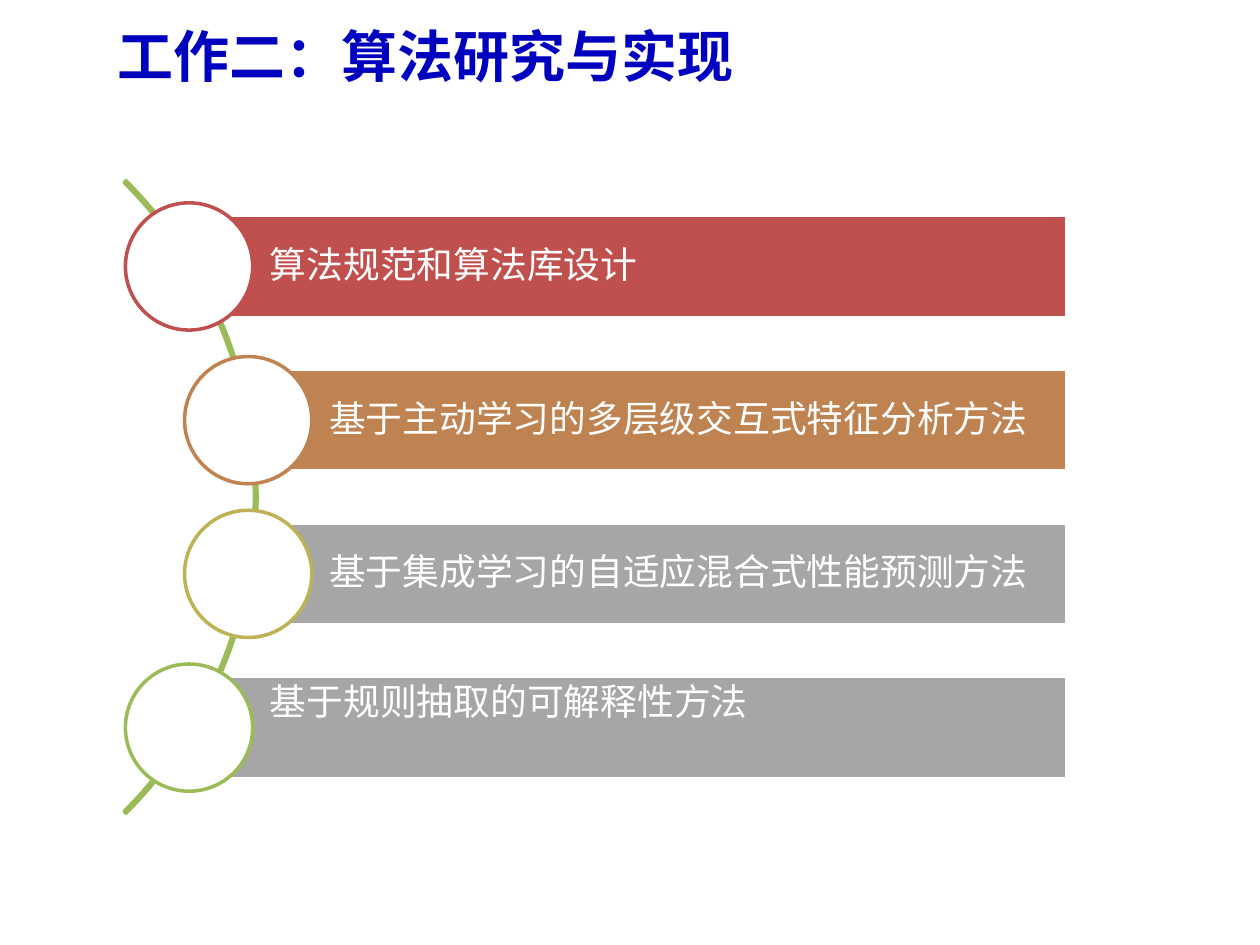
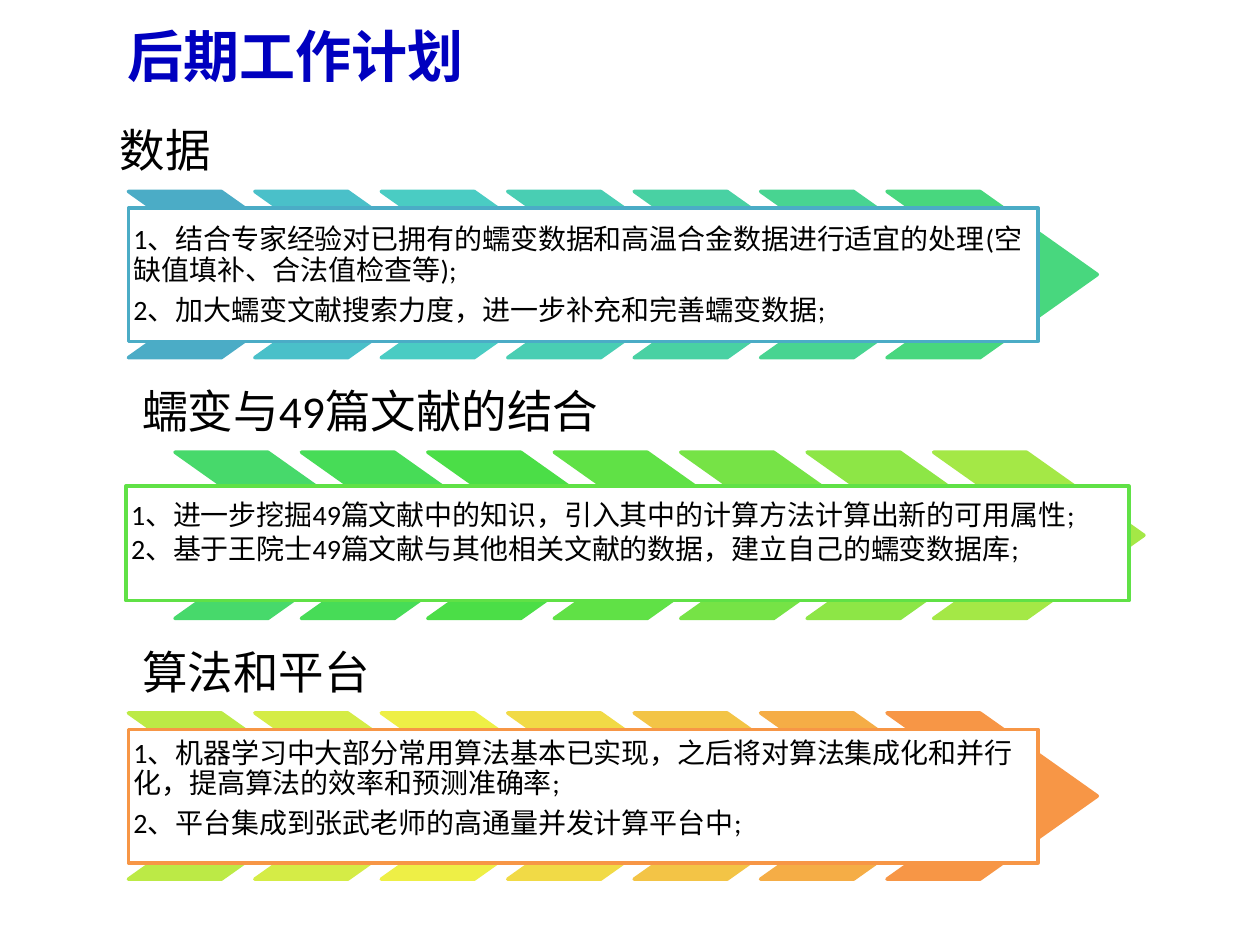
from lxml import etree
from pptx import Presentation
from pptx.dml.color import RGBColor
from pptx.enum.shapes import MSO_SHAPE
from pptx.enum.text import MSO_ANCHOR, MSO_AUTO_SIZE, PP_ALIGN
from pptx.oxml.ns import qn
from pptx.util import Pt

ARC, BAR, CIRCLE, CHEVRON = (MSO_SHAPE.BLOCK_ARC, MSO_SHAPE.RECTANGLE,
                             MSO_SHAPE.OVAL, MSO_SHAPE.CHEVRON)
TOP, MIDDLE, BOTTOM = MSO_ANCHOR.TOP, MSO_ANCHOR.MIDDLE, MSO_ANCHOR.BOTTOM
LEFT, NO_FIT = PP_ALIGN.LEFT, MSO_AUTO_SIZE.NONE

COLORS = {
    "title": "0000BF", "white": "FFFFFF", "black": "000000",
    "red": "C0504D", "brown": "BE8351", "gray": "A6A6A6",
    "olive": "BDB255", "green": "9BBB59",
    "blue box": "4BACC6", "green box": "60E146", "orange box": "F79646",
    "blue row": "4BACC6 4AC0C9 4ACCC3 49CEB3 49D1A3 48D491 48D77E",
    "green row": "47D96B 47DC57 4BDE47 60E146 76E346 8DE646 A4E846",
    "orange row": "BCEA46 D5EC46 EEEF46 F1DA46 F3C446 F5AD46 F79646",
}
TITLE_FONT, BODY_FONT = "Noto Sans CJK SC", "Calibri"
TITLE_FORMAT = {"size": Pt(32), "bold": True, "name": TITLE_FONT}
BAR_FORMAT = {"size": Pt(21), "bold": False, "name": BODY_FONT}
HEADING_FORMAT = {"size": Pt(26), "bold": False, "name": BODY_FONT}
NOTE_FORMAT = {"size": Pt(16), "bold": False, "name": BODY_FONT}
LINE_WIDTH = 2


# Shared helpers
def place(shape, box):
    for name, value in zip(("left", "top", "width", "height"), box):
        setattr(shape, name, Pt(value))


def write(shape, lines, text_format, color, anchor, insets=None,
          spacing=1.0, after=0):
    frame = shape.text_frame
    frame.word_wrap = True
    frame.auto_size = NO_FIT
    frame.vertical_anchor = anchor
    if insets:
        for side, value in zip(("left", "top", "right", "bottom"), insets):
            setattr(frame, f"margin_{side}", Pt(value))
    for index, line in enumerate(lines):
        para = frame.add_paragraph() if index else frame.paragraphs[0]
        para.alignment = LEFT
        para.line_spacing = spacing
        para.space_before = Pt(0)
        para.space_after = Pt(after if index < len(lines) - 1 else 0)
        span = para.add_run()
        span.text = line
        for name, value in text_format.items():
            setattr(span.font, name, value)
        span.font.color.rgb = RGBColor.from_string(color)
        # East Asian typeface
        east = etree.SubElement(span.font._element, qn("a:ea"))
        east.set("typeface", text_format["name"])


def add_outlined(page, kind, box, fill, line, adjustments=()):
    shape = page.shapes.add_shape(kind, *(Pt(value) for value in box))
    shape.shadow.inherit = False
    if fill:
        shape.fill.solid()
        shape.fill.fore_color.rgb = RGBColor.from_string(fill)
    else:
        shape.fill.background()
    shape.line.color.rgb = RGBColor.from_string(line)
    shape.line.width = Pt(LINE_WIDTH)
    for index, value in enumerate(adjustments):
        shape.adjustments[index] = value
    return shape


def add_titled_page(deck, title, left):
    page = deck.slides.add_slide(deck.slide_layouts[5])
    place(page.shapes.title, (left, 0, 648, 62.6))
    write(page.shapes.title, [title], TITLE_FORMAT, COLORS["title"], MIDDLE)
    return page


# Bars with circles along an arc
def add_arc_list(page, box, items):
    left, top, width, height = box
    bar_height, pitch, diameter, bend = 58.3, 87.84, 72.7, 33.8
    radius = 255.6
    add_outlined(page, ARC,
                 (left - 472.3, top + height / 2 - radius, 2 * radius, 2 * radius),
                 None, COLORS["green"], (189, 27, 0.003))
    for index, (text, fill, ring, anchor) in enumerate(items):
        bar_left = left + (bend if index in (1, 2) else 0)
        bar_top = top + index * pitch
        bar = add_outlined(page, BAR,
                           (bar_left, bar_top, left + width - bar_left, bar_height),
                           COLORS[fill], COLORS["white"])
        write(bar, [text], BAR_FORMAT, COLORS["white"], anchor,
              (46.3, 4.3, 4.3, 4.3), 0.9)
        add_outlined(page, CIRCLE,
                     (bar_left - diameter / 2,
                      bar_top + (bar_height - diameter) / 2, diameter, diameter),
                     COLORS["white"], COLORS[ring])


# Heading, row of chevrons and note box
def add_plan_lane(page, top, lane):
    heading_height, chevron_width, chevron_height, pitch = 46.8, 120.2, 95, 72.25
    heading = page.shapes.add_textbox(
        Pt(lane["heading left"]), Pt(top), Pt(513.4), Pt(heading_height))
    write(heading, [lane["heading"]], HEADING_FORMAT, COLORS["black"], BOTTOM,
          (7.9,) * 4, 0.9)
    for index, color in enumerate(COLORS[lane["color"] + " row"].split()):
        add_outlined(page, CHEVRON,
                     (lane["row left"] + index * pitch, top + heading_height,
                      chevron_width, chevron_height), color, color, (0.706,))
    box_left, box_top, box_width, box_height = lane["box"]
    note = add_outlined(page, BAR, (box_left, top + box_top, box_width, box_height),
                        COLORS["white"], COLORS[lane["color"] + " box"])
    write(note, lane["notes"], NOTE_FORMAT, COLORS["black"], TOP,
          (2.9, lane["inset"], 2.9, 2.9), lane["spacing"], lane["after"])


def build_algorithm_page(deck):
    page = add_titled_page(deck, "工作二：算法研究与实现", 59.8)
    add_arc_list(page, (108, 123.1, 501.8, 321.8), [
        ("算法规范和算法库设计", "red", "red", MIDDLE),
        ("基于主动学习的多层级交互式特征分析方法", "brown", "brown", MIDDLE),
        ("基于集成学习的自适应混合式性能预测方法", "gray", "olive", MIDDLE),
        ("基于规则抽取的可解释性方法", "gray", "green", TOP),
    ])


def build_plan_page(deck):
    page = add_titled_page(deck, "后期工作计划", 65.5)
    standard = {"heading left": 73.4, "row left": 73.4,
                "box": (73.4, 56.2, 519.8, 76.3), "spacing": 0.9, "after": 5.6}
    lanes = [
        {**standard, "heading": "数据", "heading left": 60.5,
         "color": "blue", "inset": 10.2,
         "notes": ["1、结合专家经验对已拥有的蠕变数据和高温合金数据进行适宜的处理(空缺值填补、合法值检查等);",
                   "2、加大蠕变文献搜索力度，进一步补充和完善蠕变数据;"]},
        {**standard, "heading": "蠕变与49篇文献的结合", "row left": 100,
         "color": "green", "inset": 6.6, "spacing": 1.0, "after": 0,
         "box": (72, 66.2, 573.1, 65.5),
         "notes": ["1、进一步挖掘49篇文献中的知识，引入其中的计算方法计算出新的可用属性;",
                   "2、基于王院士49篇文献与其他相关文献的数据，建立自己的蠕变数据库;"]},
        {**standard, "heading": "算法和平台", "color": "orange", "inset": 5.8,
         "notes": ["1、机器学习中大部分常用算法基本已实现，之后将对算法集成化和并行化，提高算法的效率和预测准确率;",
                   "2、平台集成到张武老师的高通量并发计算平台中;"]},
    ]
    for index, lane in enumerate(lanes):
        add_plan_lane(page, 62.6 + index * 149, lane)


def main():
    deck = Presentation()
    deck.slide_width, deck.slide_height = Pt(720), Pt(540)
    build_algorithm_page(deck)
    build_plan_page(deck)
    deck.save("out.pptx")


if __name__ == "__main__":
    main()
